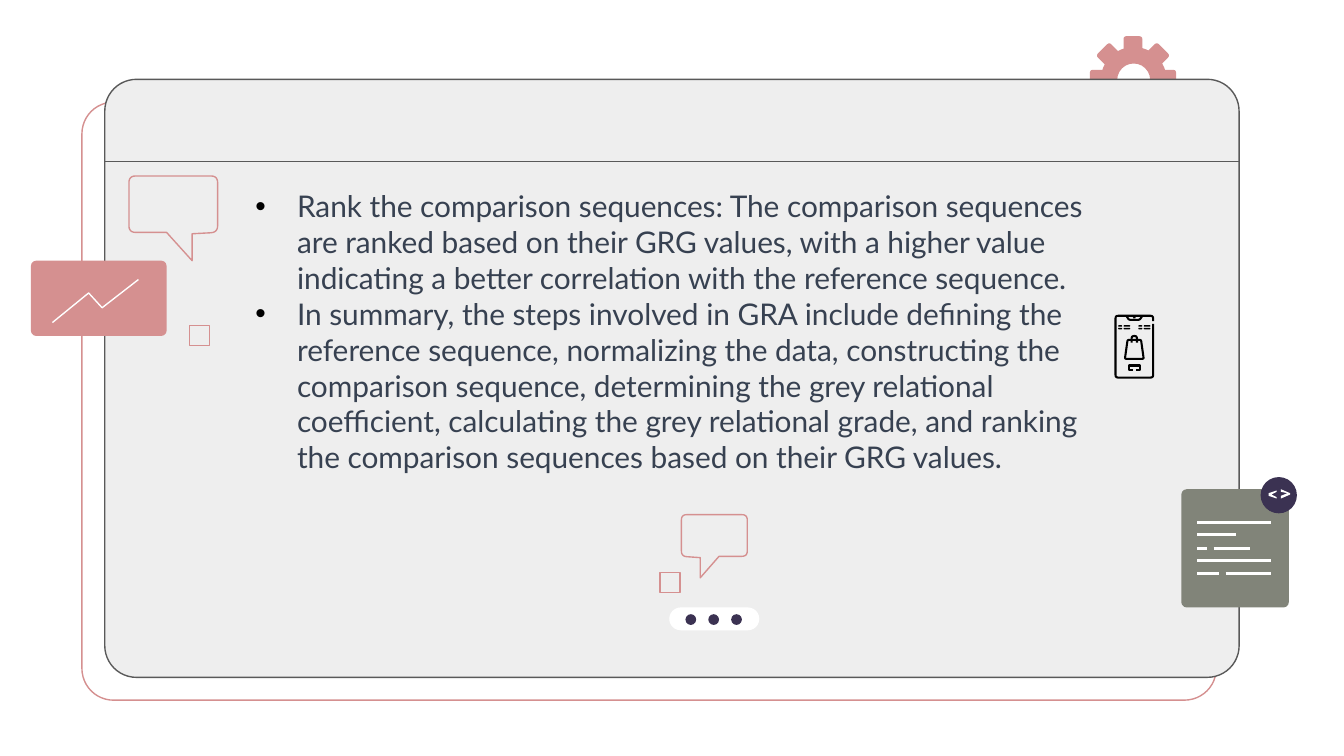
"""Build the slide on ranking sequences and summarising grey relational analysis."""
import math

from lxml import etree
from pptx import Presentation
from pptx import util as u
from pptx.dml.color import RGBColor
from pptx.enum import shapes, text
from pptx.oxml.ns import qn

PX = 9144
ROSE, PANEL, EDGE = "D59090", "EEEEEE", "595959"
OLIVE, NAVY, SLATE = "818479", "3B3252", "374151"
WHITE, BLACK = "FFFFFF", "000000"
KIND = shapes.MSO_SHAPE

STEPS = [
    "Rank the comparison sequences: The comparison sequences are ranked based on their GRG values, "
    "with a higher value indicating a better correlation with the reference sequence.",
    "In summary, the steps involved in GRA include defining the reference sequence, normalizing the data, "
    "constructing the comparison sequence, determining the grey relational coefficient, calculating the "
    "grey relational grade, and ranking the comparison sequences based on their GRG values.",
]


def px(length):
    return u.Emu(round(length * PX))


def colour(value):
    return RGBColor.from_string(value)


def add_text(paragraph, words, size=16, font="Lato", fill=SLATE):
    run = paragraph.add_run()
    run.text = words
    run.font.size = u.Pt(size)
    run.font.name = font
    run.font.color.rgb = colour(fill)


def add_bullet(paragraph, margin, hanging, fill):
    properties = paragraph._p.get_or_add_pPr()
    properties.set("marL", str(px(margin)))
    properties.set("indent", str(px(-hanging)))
    bullet_colour = etree.SubElement(properties, qn("a:buClr"))
    etree.SubElement(bullet_colour, qn("a:srgbClr"), val=fill)
    etree.SubElement(properties, qn("a:buFont"), typeface="Arial")
    etree.SubElement(properties, qn("a:buChar"), char="•")


def round_corners(points, closed):
    rounded = []
    for index, (x, y, *radius) in enumerate(points):
        at_end = not closed and index in (0, len(points) - 1)
        if not radius or at_end:
            rounded.append((x, y))
            continue
        ends = []
        for near in (points[index - 1], points[(index + 1) % len(points)]):
            share = radius[0] / math.dist((x, y), near[:2])
            ends.append((x + (near[0] - x) * share, y + (near[1] - y) * share))
        for step in range(7):
            t = step / 6
            weights = (1 - t) ** 2, 2 * t * (1 - t), t ** 2
            curve = ends[0], (x, y), ends[1]
            rounded.append(tuple(sum(w * p[axis] for w, p in zip(weights, curve)) for axis in (0, 1)))
    return rounded


class Canvas:
    def __init__(self, slide, line_width=0.75):
        self.slide = slide
        self.line_width = line_width

    def paint(self, shape, fill, line, width):
        shape.shadow.inherit = False
        if fill:
            shape.fill.solid()
            shape.fill.fore_color.rgb = colour(fill)
        else:
            shape.fill.background()
        if line:
            shape.line.color.rgb = colour(line)
            shape.line.width = u.Pt(width or self.line_width)
        else:
            shape.line.fill.background()
        return shape

    def shape(self, kind, left, top, width, height, fill=None, line=None, adjust=None, turn=0):
        shape = self.slide.shapes.add_shape(kind, px(left), px(top), px(width), px(height))
        if adjust is not None:
            shape.adjustments[0] = adjust
        shape.rotation = turn
        return self.paint(shape, fill, line, None)

    def outline(self, points, fill=None, line=None, width=None, closed=True):
        start, *rest = [(px(x), px(y)) for x, y in round_corners(points, closed)]
        builder = self.slide.shapes.build_freeform(*start, scale=1.0)
        builder.add_line_segments(rest, close=closed)
        return self.paint(builder.convert_to_shape(), fill, line, width)

    def line(self, left, right, y, fill, width=None):
        line = self.slide.shapes.add_connector(shapes.MSO_CONNECTOR.STRAIGHT, px(left), px(y), px(right), px(y))
        line.line.color.rgb = colour(fill)
        line.line.width = u.Pt(width or self.line_width)
        etree.SubElement(line._element.spPr, qn("a:effectLst"))

    def bullets(self, left, top, width, height, items):
        frame = self.slide.shapes.add_textbox(px(left), px(top), px(width), px(height)).text_frame
        frame.word_wrap = True
        frame.vertical_anchor = text.MSO_ANCHOR.TOP
        frame.margin_left = frame.margin_right = frame.margin_top = frame.margin_bottom = 0
        for index, item in enumerate(items):
            paragraph = frame.paragraphs[0] if index == 0 else frame.add_paragraph()
            add_bullet(paragraph, 44, 31, BLACK)
            add_text(paragraph, item)

    def bubble(self, left, top, right, bottom, radius, tail):
        corners = [(left, bottom, radius), (left, top, radius), (right, top, radius), (right, bottom, radius)]
        self.outline(corners + tail, line=ROSE)


def draw_gear(canvas):
    centre_x, centre_y, reach = 843, 59, 25
    canvas.shape(KIND.DONUT, 819, 35, 49, 49, ROSE, adjust=0.25)
    for angle in range(-90, 91, 45):
        x = centre_x + reach * math.sin(math.radians(angle))
        y = centre_y - reach * math.cos(math.radians(angle))
        canvas.shape(KIND.ROUND_2_SAME_RECTANGLE, x - 7, y - 7, 14, 14, ROSE, adjust=0.14, turn=angle)


def draw_code_card(canvas):
    canvas.shape(KIND.ROUNDED_RECTANGLE, 879, 364, 80, 88, OLIVE, adjust=0.05)
    canvas.shape(KIND.OVAL, 938, 355, 27, 27, NAVY)
    canvas.outline([(950, 365), (944, 367), (944, 369), (950, 371), (950, 370), (946, 368), (950, 366)], WHITE)
    canvas.outline([(953, 364), (953, 366), (958, 367), (953, 369), (953, 371), (960, 368), (960, 367)], WHITE)
    for left, right, y in [(891, 946, 389), (891, 920, 398), (891, 898, 408), (903, 930, 408),
                           (891, 946, 417), (891, 907, 427), (912, 946, 427)]:
        canvas.line(left, right, y, WHITE, 1.5)


def draw_phone(canvas):
    for left, width in [(832, 3), (836, 5), (847, 3), (851, 5)]:
        for top in (242, 244):
            canvas.shape(KIND.ROUNDED_RECTANGLE, left, top, width, 1, BLACK, adjust=0.5)
    canvas.shape(KIND.ROUNDED_RECTANGLE, 843, 236, 2, 1, BLACK, adjust=0.5)
    body = [(858, 241), (858, 281, 2), (830, 281, 2), (830, 235, 2), (858, 235, 2), (858, 239)]
    notch = [(838, 235), (840, 238, 1), (848, 238, 1), (850, 235)]
    button = [(843, 275), (840, 275), (840, 272), (848, 272), (848, 275), (845, 275)]
    handle = [(842, 255), (842, 250, 2), (846, 250, 2), (846, 255)]
    for part in (body, notch, button, handle):
        canvas.outline(part, line=BLACK, width=1.1, closed=False)
    canvas.outline([(839, 253, 1), (849, 253, 1), (851, 267, 1), (837, 267, 1)], line=BLACK, width=1.1)


def main():
    presentation = Presentation()
    presentation.slide_width = px(1000)
    presentation.slide_height = presentation.slide_width * 9 // 16
    canvas = Canvas(presentation.slides.add_slide(presentation.slide_layouts[6]))

    draw_gear(canvas)
    canvas.shape(KIND.ROUNDED_RECTANGLE, 61, 76, 844, 445, line=ROSE, adjust=0.053)
    canvas.shape(KIND.ROUNDED_RECTANGLE, 78, 59, 844, 445, PANEL, EDGE, adjust=0.053)
    canvas.line(78, 922, 120, EDGE)
    canvas.bullets(177, 140, 632, 238, STEPS)
    draw_code_card(canvas)

    canvas.shape(KIND.ROUNDED_RECTANGLE, 23, 194, 101, 56, ROSE, adjust=0.07)
    canvas.outline([(39, 240), (66, 218), (76, 229), (103, 208)], line=WHITE, closed=False)
    canvas.bubble(96, 131, 162, 173, 5, [(143, 174), (143, 194), (124, 173)])
    canvas.shape(KIND.RECTANGLE, 141, 242, 15, 15, line=ROSE)

    canvas.shape(KIND.ROUNDED_RECTANGLE, 498, 452, 67, 17, WHITE, adjust=0.5)
    for left in range(510, 545, 17):
        canvas.shape(KIND.OVAL, left, 457, 8, 8, NAVY)
    canvas.shape(KIND.RECTANGLE, 491, 426, 15, 15, line=ROSE)
    canvas.bubble(507, 383, 556, 414, 4, [(535, 414), (521, 430), (521, 415)])
    draw_phone(canvas)
    presentation.save("out.pptx")


if __name__ == "__main__":
    main()
